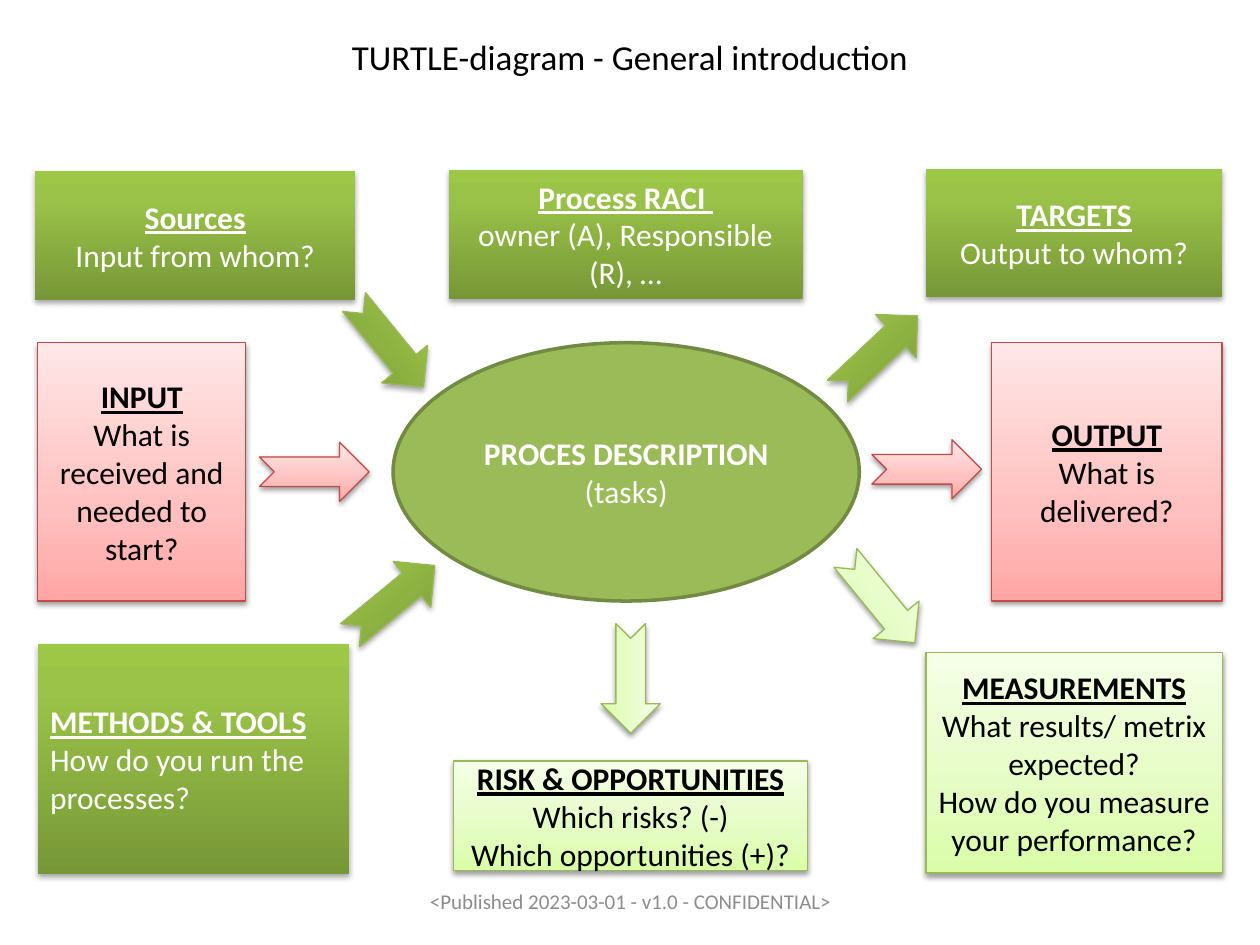
"""Build a turtle diagram slide that introduces process analysis."""
from copy import deepcopy
from dataclasses import dataclass
from typing import Optional

from lxml.etree import SubElement
from pptx import Presentation
from pptx.dml.color import RGBColor
from pptx.enum.shapes import MSO_SHAPE as Preset
from pptx.enum.text import MSO_ANCHOR as Anchor, PP_ALIGN as Align
from pptx.oxml.ns import qn
from pptx.util import Inches, Pt


@dataclass(frozen=True)
class Look:
    stops: tuple[tuple[float, str], ...]
    ink: str
    line: str
    boxed: bool
    shadow_alpha: int
    shadow_distance: float


@dataclass(frozen=True)
class Theme:
    font: str = "Calibri"
    title_size: int = 20
    body_size: int = 18
    footer_size: int = 12
    black: str = "000000"
    white: str = "FFFFFF"
    grey: str = "8C8C8C"
    process: str = "9BBB59"
    process_line: str = "738A42"
    shadow_blur: float = 3.15


THEME = Theme()
GREEN = Look(((0, "779737"), (0.8, "9BC348"), (1, "9DC746")), THEME.white, "98B955", False, 35, 1.8)
LIME = Look(((0, "DAFDA7"), (0.35, "E4FCC2"), (1, "F5FFE7")), THEME.black, "98B955", True, 38, 1.6)
PINK = Look(((0, "FFA6A5"), (0.35, "FFC0BF"), (1, "FFE7E7")), THEME.black, "BF4C48", True, 38, 1.6)


@dataclass(frozen=True)
class Card:
    left: float
    top: float
    width: float
    height: float
    look: Look
    text: str
    align: Align = Align.CENTER


@dataclass(frozen=True)
class Arrow:
    left: float
    top: float
    look: Look
    rotation: float = 0
    width: float = 0.87
    height: float = 0.47


CARDS = (
    Card(0.28, 1.36, 2.54, 1.02, GREEN, "Sources\nInput from whom?"),
    Card(7.35, 1.34, 2.35, 1.02, GREEN, "TARGETS\nOutput to whom?"),
    Card(7.35, 5.18, 2.35, 1.75, LIME,
         "MEASUREMENTS\nWhat results/ metrix expected?\nHow do you measure your performance?"),
    Card(0.3, 5.11, 2.47, 1.83, GREEN, "METHODS & TOOLS\nHow do you run the processes?", Align.LEFT),
    Card(0.3, 2.72, 1.65, 2.05, PINK, "INPUT\nWhat is received and needed to start?"),
    Card(7.87, 2.72, 1.83, 2.05, PINK, "OUTPUT\nWhat is delivered?"),
    Card(3.6, 6.04, 2.81, 0.87, LIME,
         "RISK & OPPORTUNITIES\vWhich risks? (-)\nWhich opportunities (+)?"),
    Card(3.56, 1.35, 2.81, 1.02, GREEN, "Process RACI \vowner (A), Responsible (R), …"),
)
ARROWS = (
    Arrow(6.53, 2.57, GREEN, 316.8),
    Arrow(2.65, 2.5, GREEN, 50.7),
    Arrow(2.68, 4.53, GREEN, 320.6),
    Arrow(6.55, 4.53, LIME, 50.7),
    Arrow(2.06, 3.51, PINK),
    Arrow(6.92, 3.49, PINK),
    Arrow(4.57, 5.15, LIME, 90),
)


def write(shape, text: str, size: int, color: str, align: Align = Align.CENTER,
          heading: bool = False, underline: bool = False) -> None:
    """Write centred-anchor text, with an optional bold heading run."""
    frame = shape.text_frame
    frame.word_wrap = True
    frame.vertical_anchor = Anchor.MIDDLE
    frame.text = text
    for para in frame.paragraphs:
        para.alignment = align
        for span in para.runs:
            span.font.name = THEME.font
            span.font.size = Pt(size)
            span.font.color.rgb = RGBColor.from_string(color)
    if heading:
        first = frame.paragraphs[0].runs[0].font
        first.bold = True
        first.underline = underline


def add_preset(page, preset: Preset, item: Card | Arrow):
    """Add a preset shape at the place of an item."""
    return page.shapes.add_shape(preset, Inches(item.left), Inches(item.top),
                                 Inches(item.width), Inches(item.height))


def set_line(shape, color: Optional[str], width: float = 0.75) -> None:
    """Outline a shape, or remove its outline when there is no color."""
    if color is None:
        shape.line.fill.background()
        return
    shape.line.color.rgb = RGBColor.from_string(color)
    shape.line.width = Pt(width)


def apply_look(shape, look: Look) -> None:
    """Give a shape its vertical gradient and soft shadow."""
    shape.fill.gradient()
    shape.fill.gradient_angle = 90
    properties = shape._element.spPr
    stop_list = properties.find(".//" + qn("a:gsLst"))
    stop_list.append(deepcopy(stop_list[0]))
    for stop, (position, color) in zip(shape.fill.gradient_stops, look.stops):
        stop.position = position
        stop.color.rgb = RGBColor.from_string(color)
    shape.shadow.inherit = False
    shadow = SubElement(properties.find(qn("a:effectLst")), qn("a:outerShdw"),
                        blurRad=str(Pt(THEME.shadow_blur)), dist=str(Pt(look.shadow_distance)),
                        dir="5400000", rotWithShape="0")
    color = SubElement(shadow, qn("a:srgbClr"), val=THEME.black)
    SubElement(color, qn("a:alpha"), val=str(look.shadow_alpha * 1000))


def draw_card(page, card: Card) -> None:
    """Draw a box with an underlined heading and its question."""
    box = add_preset(page, Preset.RECTANGLE, card)
    set_line(box, card.look.line if card.look.boxed else None)
    apply_look(box, card.look)
    write(box, card.text, THEME.body_size, card.look.ink, card.align, True, True)


def draw_arrow(page, arrow: Arrow) -> None:
    """Draw a notched arrow in its direction."""
    shape = add_preset(page, Preset.NOTCHED_RIGHT_ARROW, arrow)
    shape.rotation = arrow.rotation
    set_line(shape, arrow.look.line)
    apply_look(shape, arrow.look)


def draw_process(page) -> None:
    """Draw the central process ellipse."""
    body = page.shapes.add_shape(Preset.OVAL, Inches(3.12), Inches(2.72), Inches(3.7), Inches(2.05))
    body.shadow.inherit = False
    body.fill.solid()
    body.fill.fore_color.rgb = RGBColor.from_string(THEME.process)
    set_line(body, THEME.process_line, 2)
    write(body, "PROCES DESCRIPTION\n(tasks)", THEME.body_size, THEME.white, heading=True)


def main() -> None:
    """Assemble and save the slide."""
    deck = Presentation()
    deck.slide_width, deck.slide_height = Inches(10), Inches(7.5)
    page = deck.slides.add_slide(deck.slide_layouts[5])
    title = page.shapes.title
    title.left, title.top, title.width, title.height = Inches(0), Inches(0.21), Inches(10), Inches(0.47)
    write(title, "TURTLE-diagram - General introduction", THEME.title_size, THEME.black)
    footer = page.shapes.add_textbox(Inches(3.03), Inches(6.95), Inches(3.95), Inches(0.4))
    write(footer, "<Published 2023-03-01 - v1.0 - CONFIDENTIAL>", THEME.footer_size, THEME.grey)
    draw_process(page)
    for card in CARDS:
        draw_card(page, card)
    for arrow in ARROWS:
        draw_arrow(page, arrow)
    deck.save("out.pptx")


if __name__ == "__main__":
    main()
